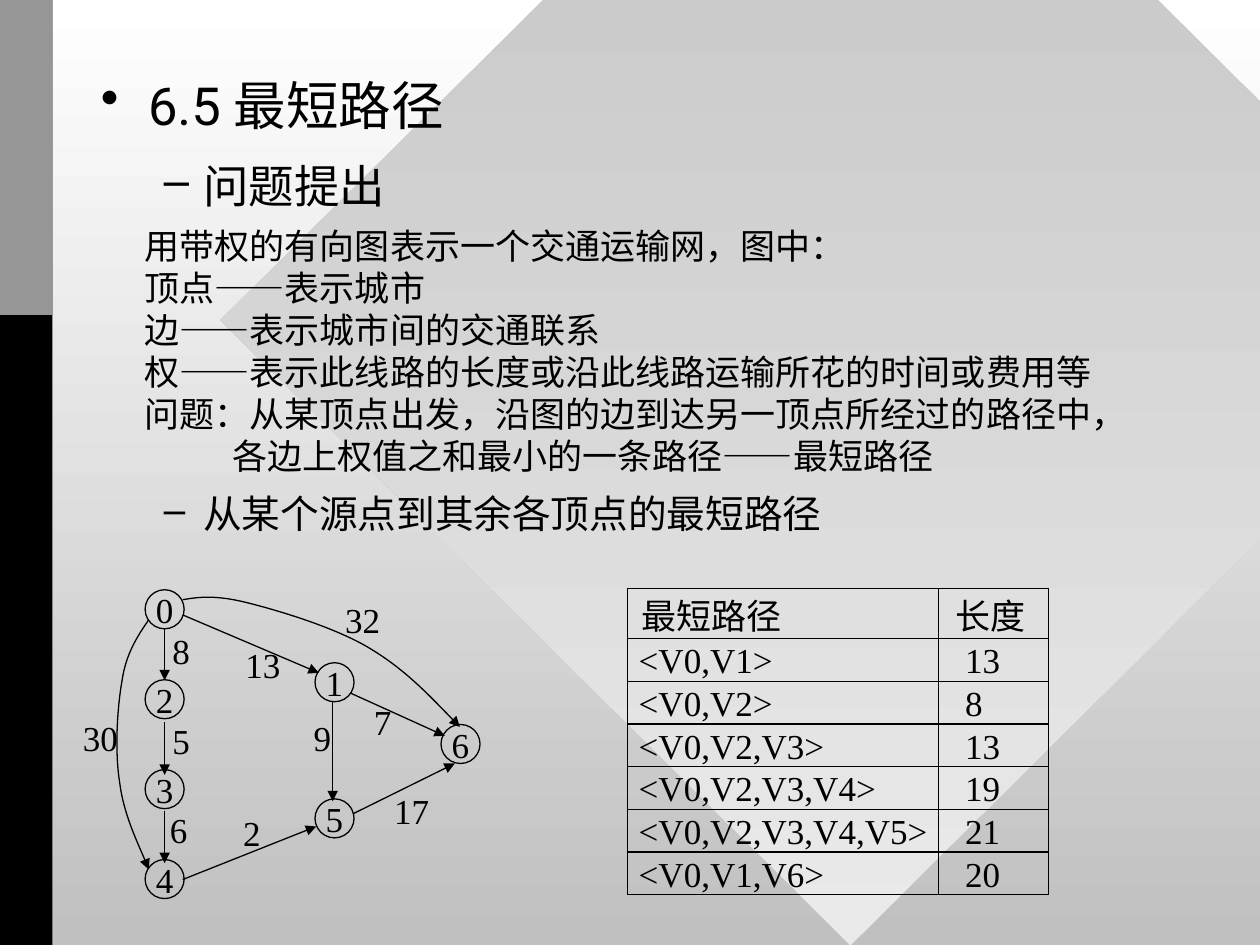
"""Build the slide on shortest paths: outline, weighted graph and result table."""
from lxml.etree import SubElement
from pptx import Presentation
from pptx.dml.color import RGBColor
from pptx.enum.shapes import MSO_CONNECTOR, MSO_SHAPE
from pptx.enum.text import MSO_ANCHOR, PP_ALIGN
from pptx.oxml.ns import qn
from pptx.util import Pt

INK = "010000"
SERIF = "Times New Roman"
SANS = "Roboto"
tone = RGBColor.from_string


def write(par, text, size=20, face=SERIF):
    run = par.add_run()
    run.text = text
    run.font.size = Pt(size)
    run.font.name = face
    run.font.color.rgb = tone(INK)


def stroke(shape, arrow=False):
    shape.line.color.rgb = tone(INK)
    shape.line.width = Pt(0.75)
    props = shape._element.spPr
    if arrow:
        SubElement(props.find(qn("a:ln")), qn("a:tailEnd"), type="triangle")
    if props.find(qn("a:effectLst")) is None:
        SubElement(props, qn("a:effectLst"))


deck = Presentation()
deck.slide_width, deck.slide_height = Pt(720), Pt(540)
slide = deck.slides.add_slide(deck.slide_layouts[6])
shapes = slide.shapes

diamond = shapes.add_shape(MSO_SHAPE.DIAMOND, Pt(126), Pt(-174), Pt(720), Pt(714))
diamond.line.fill.background()
diamond.shadow.inherit = False
for fill, ends in (
    (slide.background.fill, ("FFFFFF", "C0C0C0")),
    (diamond.fill, ("C0C0C0", "EAEAEA")),
):
    fill.gradient()
    fill.gradient_angle = 270
    for stop, shade in zip(fill.gradient_stops, ends):
        stop.color.rgb = tone(shade)

for height, shade in ((540, "000000"), (180, "969696")):
    band = shapes.add_shape(MSO_SHAPE.RECTANGLE, 0, 0, Pt(30), Pt(height))
    band.fill.solid()
    band.fill.fore_color.rgb = tone(shade)
    band.line.fill.background()
    band.shadow.inherit = False

heads = [
    (38, 89, [("6.5 最短路径", 30, "•", 27, 27, 22.5, 1),
              ("问题提出", 26, "–", 58.5, 22.5, 13, 1)]),
    (279.5, 34, [("从某个源点到其余各顶点的最短路径", 22.1, "–", 58.5, 22.5, 13, 0.9)]),
]
for top, height, items in heads:
    frame = shapes.add_textbox(Pt(50.5), Pt(top), Pt(669.5), Pt(height)).text_frame
    frame.word_wrap = True
    for n, (text, size, mark, left, hang, gap, pitch) in enumerate(items):
        par = frame.add_paragraph() if n else frame.paragraphs[0]
        par.space_before = Pt(gap)
        par.line_spacing = pitch
        write(par, text, size, SANS)
        props = par._p.get_or_add_pPr()
        props.set("marL", str(Pt(left)))
        props.set("indent", str(-Pt(hang)))
        paint = SubElement(props, qn("a:buClr"))
        SubElement(paint, qn("a:srgbClr"), val=INK)
        SubElement(props, qn("a:buChar"), char=mark)

lines = [
    "用带权的有向图表示一个交通运输网，图中：",
    "顶点——表示城市",
    "边——表示城市间的交通联系",
    "权——表示此线路的长度或沿此线路运输所花的时间或费用等",
    "问题：从某顶点出发，沿图的边到达另一顶点所经过的路径中，",
    "各边上权值之和最小的一条路径——最短路径",
]
frame = shapes.add_textbox(Pt(75.6), Pt(124.6), Pt(576), Pt(151)).text_frame
frame.word_wrap = True
for n, text in enumerate(lines):
    par = frame.add_paragraph() if n else frame.paragraphs[0]
    write(par, text)
par._p.get_or_add_pPr().set("marL", str(Pt(50)))

nodes = [("5", 180, 456.5), ("1", 180, 378.7), ("6", 252, 414)]
nodes += [(name, 82.9, 337 + 51.4 * n) for n, name in enumerate("0234")]
for name, left, top in nodes:
    node = shapes.add_shape(MSO_SHAPE.OVAL, Pt(left), Pt(top), Pt(22.3), Pt(22.3))
    node.fill.background()
    stroke(node)
    frame = node.text_frame
    frame.word_wrap = False
    frame.vertical_anchor = MSO_ANCHOR.MIDDLE
    par = frame.paragraphs[0]
    par.alignment = PP_ALIGN.CENTER
    write(par, name)

edges = [
    (94.1, 359.3, 94.1, 388.8),
    (94.1, 412.6, 94.1, 442.8),
    (94.1, 463.7, 94.1, 493.2),
    (104.4, 351.4, 182.2, 384.5),
    (200.2, 396, 254.2, 420.5),
    (104.4, 502.6, 180.7, 472.3),
    (201.6, 465.1, 259.9, 436.3),
    (190.1, 401, 190.1, 457.9),
]
for edge in edges:
    stroke(shapes.add_connector(MSO_CONNECTOR.STRAIGHT, *map(Pt, edge)), True)

bends = [
    [(85, 354.2), (78.5, 363.6), (72, 373.7), (69.8, 388.8), (67, 404.6),
     (65.5, 429.1), (68.4, 447.1), (70.6, 465.1), (82.1, 488.9), (85, 496.8)],
    [(104.4, 342.7), (113, 341.3), (122.4, 339.8), (140.4, 344.2), (157.7, 348.5),
     (189.4, 357.8), (209.5, 369.4), (230.4, 381.6), (246.2, 398.2), (262.8, 415.4)],
]
for bend in bends:
    start, *rest = [(Pt(x), Pt(y)) for x, y in bend]
    pen = shapes.build_freeform(*start)
    pen.add_line_segments(rest, close=False)
    curve = pen.convert_to_shape()
    curve.fill.background()
    stroke(curve, True)
    trace = next(curve._element.iter(qn("a:path")))
    steps = trace.findall(qn("a:lnTo"))
    for n in range(0, len(steps), 3):
        cubic = SubElement(trace, qn("a:cubicBezTo"))
        for step in steps[n:n + 3]:
            cubic.append(step[0])
            trace.remove(step)

costs = [
    ("8", 91.4, 356.4), ("5", 91.4, 407.5), ("6", 90, 458.6), ("2", 131.8, 460),
    ("30", 40.3, 406), ("13", 133.2, 364.3), ("7", 206.6, 396.7),
    ("17", 218.2, 447.8), ("32", 190.1, 338.4), ("9", 172.1, 406),
]
for cost, left, top in costs:
    wide = 14.4 + 10 * len(cost)
    frame = shapes.add_textbox(Pt(left), Pt(top), Pt(wide), Pt(31.7)).text_frame
    frame.word_wrap = False
    write(frame.paragraphs[0], cost)

rows = [
    ("最短路径", "长度"),
    ("<V0,V1>", "13"),
    ("<V0,V2>", "8"),
    ("<V0,V2,V3>", "13"),
    ("<V0,V2,V3,V4>", "19"),
    ("<V0,V2,V3,V4,V5>", "21"),
    ("<V0,V1,V6>", "20"),
]
grid = shapes.add_table(7, 2, Pt(358.5), Pt(336.2), Pt(240.5), Pt(175.2)).table
grid.first_row = grid.horz_banding = False
for col, wide in zip(grid.columns, (178, 62.5)):
    col.width = Pt(wide)
for r, row in enumerate(rows):
    grid.rows[r].height = Pt(24.4 if r else 28.8)
    for c, text in enumerate(row):
        cell = grid.cell(r, c)
        cell.margin_top = cell.margin_bottom = cell.margin_right = 0
        cell.margin_left = Pt((15 if r else 9.5) if c else (6.5 if r else 8))
        cell.vertical_anchor = MSO_ANCHOR.BOTTOM if r else MSO_ANCHOR.MIDDLE
        write(cell.text_frame.paragraphs[0], text)
        props = cell._tc.get_or_add_tcPr()
        for side in ("a:lnL", "a:lnR", "a:lnT", "a:lnB"):
            rule = SubElement(props, qn(side), w=str(Pt(0.75)))
            paint = SubElement(rule, qn("a:solidFill"))
            SubElement(paint, qn("a:srgbClr"), val=INK)
        cell.fill.background()

deck.save("out.pptx")
